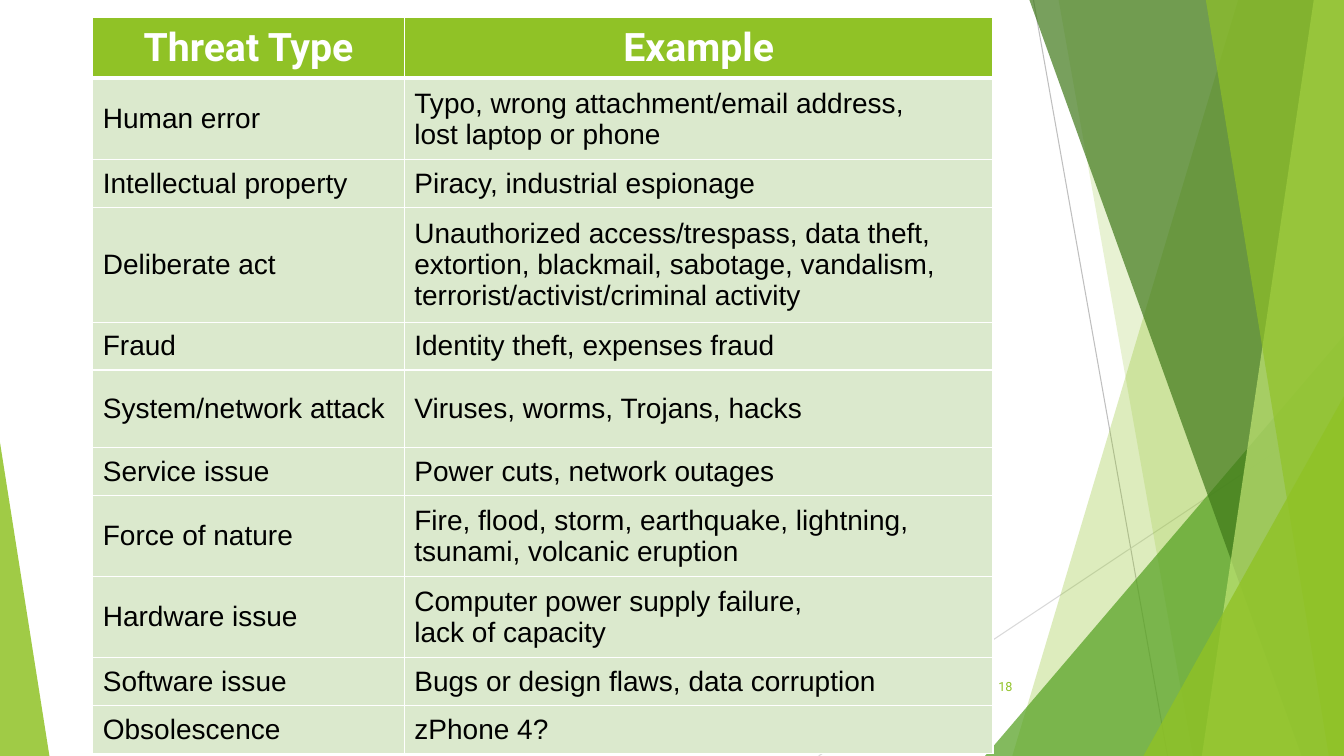
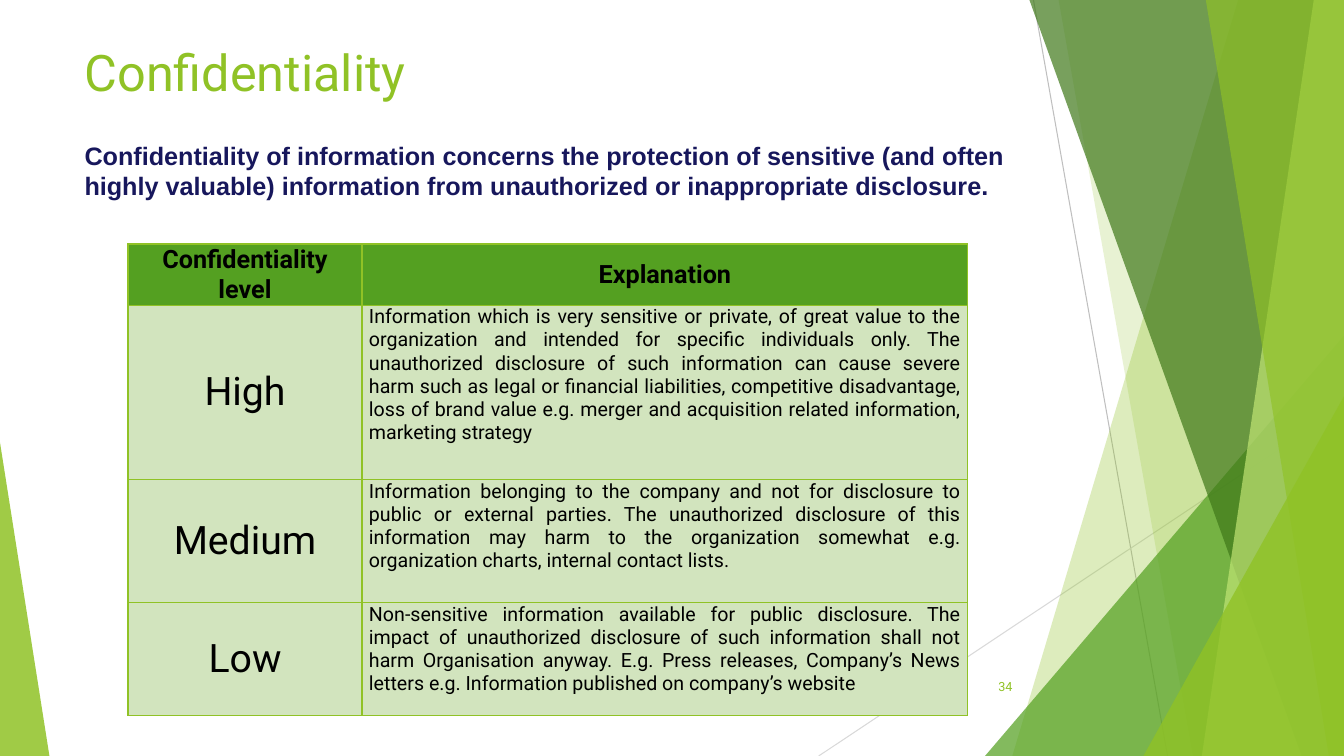
from pptx import Presentation
from pptx.dml.color import RGBColor
from pptx.enum.shapes import MSO_CONNECTOR, MSO_SHAPE
from pptx.enum.text import MSO_ANCHOR, PP_ALIGN
from pptx.oxml import parse_xml
from pptx.oxml.ns import nsdecls, qn
from pptx.util import Inches, Pt
from lxml import etree

WIDTH, HEIGHT = 13.33, 7.5
LIME, GREEN, FOREST, PALE_LIME = "90C226", "54A021", "3F7819", "C0E474"
WHITE, BLACK, NAVY = "FFFFFF", "000000", "17175C"
THREAT_FILL, LEVEL_FILL = "DBE9CD", "D2E4BE"

THIN_LINES = [
    ((10.25, 0), (11.58, HEIGHT), "BFBFBF"),
    ((WIDTH, 4.03), (8.12, HEIGHT), "D9D9D9"),
]
FACETS = [
    ("band", (12.28, 10.04), LIME, 30),
    ("band", (10.5, 11.83), LIME, 20),
    ("triangle", (9.77, 3.33, 3.56, 1), GREEN, 72),
    ("band", (10.21, 12.91), FOREST, 70),
    ("band", (13.03, 11.92), PALE_LIME, 70),
    ("band", (11.96, 13.18), LIME, 65),
    ("triangle", (11.34, 3.93, 1.99, 1), LIME, 80),
    ("triangle", (0, 4.39, 0.49, 0), LIME, 85),
]


def text_style(name, size, color, bold=False, alignment=PP_ALIGN.LEFT, anchor=MSO_ANCHOR.MIDDLE):
    """Collect the format values of one kind of text."""
    return {
        "font": {"name": name, "size": Pt(size), "bold": bold},
        "color": color,
        "alignment": alignment,
        "anchor": anchor,
    }


TITLE = text_style("Roboto", 36, LIME, anchor=MSO_ANCHOR.TOP)
LEAD = text_style("Arial", 18, NAVY, True, anchor=MSO_ANCHOR.TOP)
NUMBER = text_style("Roboto", 9, LIME, alignment=PP_ALIGN.RIGHT)

THREAT_TABLE = {
    "place": (0.92, 0.17),
    "columns": [3.09, 5.84],
    "rows": [0.58, 0.77, 0.45, 1.09, 0.45, 0.77, 0.45, 0.77, 0.77, 0.45, 0.45],
    "margins": (0.1, 0.07),
    "header": text_style("Roboto", 28, WHITE, True, PP_ALIGN.CENTER),
    "body": [text_style("Arial", 20, BLACK)] * 2,
    "fills": (LIME, THREAT_FILL),
    "border": WHITE,
    "header_rule": 3,
    "cells": [
        ("Threat Type", "Example"),
        ("Human error", "Typo, wrong attachment/email address,\nlost laptop or phone"),
        ("Intellectual property", "Piracy, industrial espionage"),
        ("Deliberate act", "Unauthorized access/trespass, data theft, extortion, blackmail, "
         "sabotage, vandalism, terrorist/activist/criminal activity"),
        ("Fraud", "Identity theft, expenses fraud"),
        ("System/network attack", "Viruses, worms, Trojans, hacks"),
        ("Service issue", "Power cuts, network outages"),
        ("Force of nature", "Fire, flood, storm, earthquake, lightning, tsunami, volcanic eruption"),
        ("Hardware issue", "Computer power supply failure,\nlack of capacity"),
        ("Software issue", "Bugs or design flaws, data corruption"),
        ("Obsolescence", "zPhone 4?"),
    ],
}

LEVEL_TABLE = {
    "place": (1.27, 2.42),
    "columns": [2.32, 6.01],
    "rows": [0.61, 1.73, 1.22, 1.12],
    "margins": (0.07, 0),
    "header": text_style("Roboto", 18, BLACK, True, PP_ALIGN.CENTER),
    "body": [
        text_style("Roboto", 28, BLACK, alignment=PP_ALIGN.CENTER),
        text_style("Roboto", 14, BLACK, alignment=PP_ALIGN.JUSTIFY, anchor=MSO_ANCHOR.TOP),
    ],
    "fills": (GREEN, LEVEL_FILL),
    "border": LIME,
    "header_rule": 1,
    "cells": [
        ("Confidentiality level", "Explanation"),
        ("High", "Information which is very sensitive or private, of great value to the "
         "organization and intended for specific individuals only. The unauthorized disclosure "
         "of such information can cause severe harm such as legal or financial liabilities, "
         "competitive disadvantage, loss of brand value e.g. merger and acquisition related "
         "information, marketing strategy"),
        ("Medium", "Information belonging to the company and not for disclosure to public or "
         "external parties. The unauthorized disclosure of this information may harm to the "
         "organization somewhat e.g. organization charts, internal contact lists."),
        ("Low", "Non-sensitive information available for public disclosure. The impact of "
         "unauthorized disclosure of such information shall not harm Organisation anyway. "
         "E.g. Press releases, Company’s News letters e.g. Information published on "
         "company’s website"),
    ],
}


def set_color(color_format, color):
    """Give a colour format a hex colour."""
    color_format.rgb = RGBColor.from_string(color)


def set_fill(target, color):
    """Fill a shape or cell with one colour."""
    target.fill.solid()
    set_color(target.fill.fore_color, color)


def set_attributes(target, values):
    """Set each named attribute of an object."""
    for name, value in values.items():
        setattr(target, name, value)


def write_text(text_frame, text, style):
    """Write one paragraph and format its runs."""
    paragraph = text_frame.paragraphs[0]
    paragraph.text = text
    paragraph.alignment = style["alignment"]
    for run in paragraph.runs:
        set_attributes(run.font, style["font"])
        set_color(run.font.color, style["color"])


def add_text(slide, text, box, style):
    """Add a wrapping text box."""
    text_frame = slide.shapes.add_textbox(*map(Inches, box)).text_frame
    set_attributes(text_frame, {"word_wrap": True, "vertical_anchor": style["anchor"]})
    write_text(text_frame, text, style)


def add_thin_line(slide, start, end, color):
    """Add a hairline without a shadow."""
    connector = slide.shapes.add_connector(MSO_CONNECTOR.STRAIGHT, *map(Inches, start + end))
    connector.line.width = Pt(0.75)
    set_color(connector.line.color, color)
    etree.SubElement(connector._element.spPr, qn("a:effectLst"))


def build_band(slide, top_x, bottom_x):
    """Build a full-height band from a slanted edge to the right side."""
    corners = [(WIDTH, 0), (WIDTH, HEIGHT), (bottom_x, HEIGHT)]
    builder = slide.shapes.build_freeform(Inches(top_x), 0)
    builder.add_line_segments([(Inches(x), Inches(y)) for x, y in corners], close=True)
    return builder.convert_to_shape()


def build_triangle(slide, left, top, width, apex):
    """Build a triangle that stands on the bottom edge of the slide."""
    box = map(Inches, (left, top, width, HEIGHT - top))
    shape = slide.shapes.add_shape(MSO_SHAPE.ISOSCELES_TRIANGLE, *box)
    shape.adjustments[0] = apex
    return shape


def add_facet(slide, kind, geometry, color, opacity):
    """Add one translucent facet of the background."""
    build = {"band": build_band, "triangle": build_triangle}[kind]
    shape = build(slide, *geometry)
    shape.shadow.inherit = False
    shape.line.fill.background()
    set_fill(shape, color)
    color_element = shape._element.spPr.find(".//" + qn("a:srgbClr"))
    etree.SubElement(color_element, qn("a:alpha"), val=str(opacity * 1000))


def set_borders(cell, color, widths):
    """Draw the left, right, top and bottom borders of a cell."""
    properties = cell._tc.get_or_add_tcPr()
    for position, (side, width) in enumerate(zip("LRTB", widths)):
        border = parse_xml(
            f'<a:ln{side} {nsdecls("a")} w="{Pt(width)}"><a:solidFill>'
            f'<a:srgbClr val="{color}"/></a:solidFill></a:ln{side}>'
        )
        properties.insert(position, border)


def add_styled_table(slide, design):
    """Add a table with a header row and a style for each column."""
    columns, rows = design["columns"], design["rows"]
    box = map(Inches, (*design["place"], sum(columns), sum(rows)))
    table = slide.shapes.add_table(len(rows), len(columns), *box).table
    table.horz_banding = False
    for column, width in zip(table.columns, columns):
        column.width = Inches(width)
    side, edge = map(Inches, design["margins"])
    margins = {"margin_left": side, "margin_right": side, "margin_top": edge, "margin_bottom": edge}
    rule = design["header_rule"]
    for row_index, texts in enumerate(design["cells"]):
        table.rows[row_index].height = Inches(rows[row_index])
        is_header = row_index == 0
        widths = (1, 1, rule if row_index == 1 else 1, rule if is_header else 1)
        for column_index, text in enumerate(texts):
            cell = table.cell(row_index, column_index)
            style = design["header"] if is_header else design["body"][column_index]
            set_attributes(cell, {**margins, "vertical_anchor": style["anchor"]})
            write_text(cell.text_frame, text, style)
            set_fill(cell, design["fills"][0 if is_header else 1])
            set_borders(cell, design["border"], widths)


def add_themed_slide(presentation, number):
    """Add a slide with the shared background and its number."""
    slide = presentation.slides.add_slide(presentation.slide_layouts[6])
    for line in THIN_LINES:
        add_thin_line(slide, *line)
    for facet in FACETS:
        add_facet(slide, *facet)
    add_text(slide, number, (9.39, 6.61, 0.75, 0.4), NUMBER)
    return slide


def main():
    """Build both slides and save them."""
    presentation = Presentation()
    presentation.slide_width = Inches(WIDTH)
    presentation.slide_height = Inches(HEIGHT)

    threats = add_themed_slide(presentation, "18")
    add_styled_table(threats, THREAT_TABLE)

    confidentiality = add_themed_slide(presentation, "34")
    add_text(confidentiality, "Confidentiality", (0.74, 0.36, 9.4, 0.9), TITLE)
    add_text(
        confidentiality,
        "Confidentiality of information concerns the protection of sensitive (and often "
        "highly valuable) information from unauthorized or inappropriate disclosure.",
        (0.74, 1.34, 9.4, 0.9),
        LEAD,
    )
    add_styled_table(confidentiality, LEVEL_TABLE)
    presentation.save("out.pptx")


if __name__ == "__main__":
    main()
